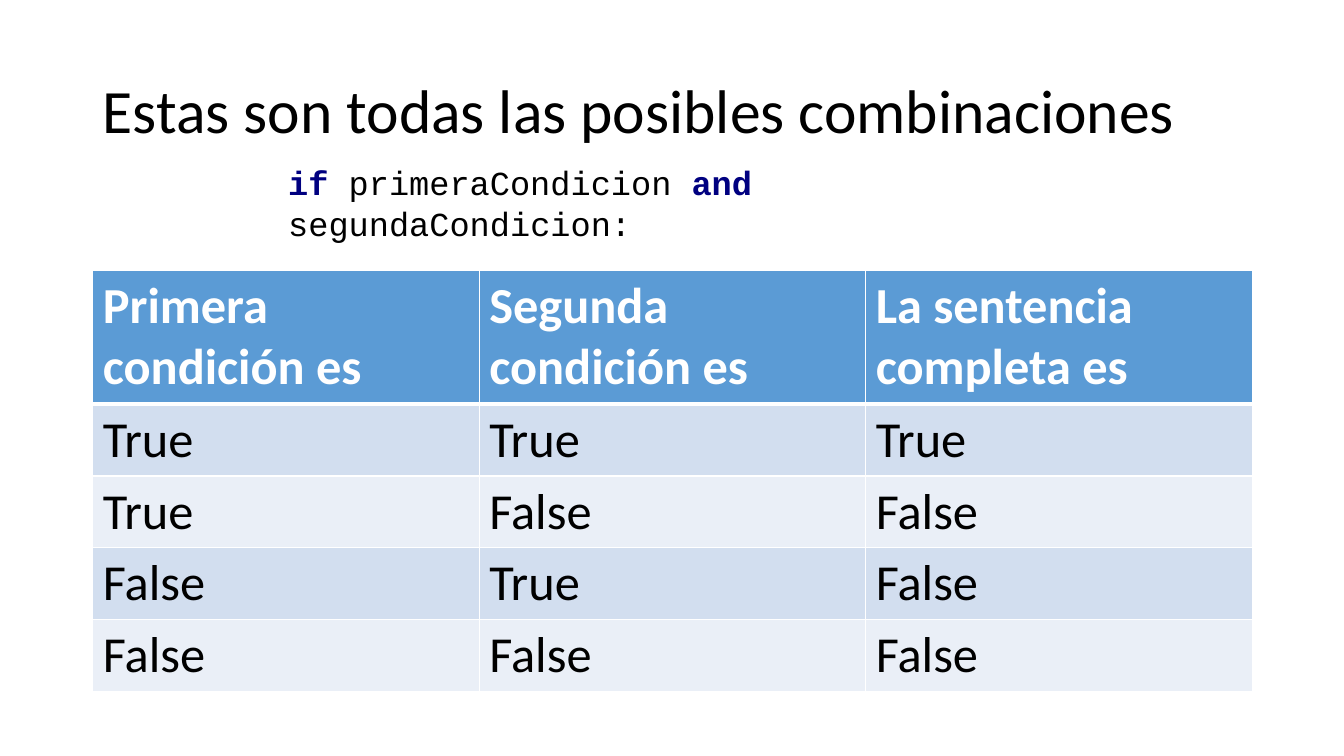
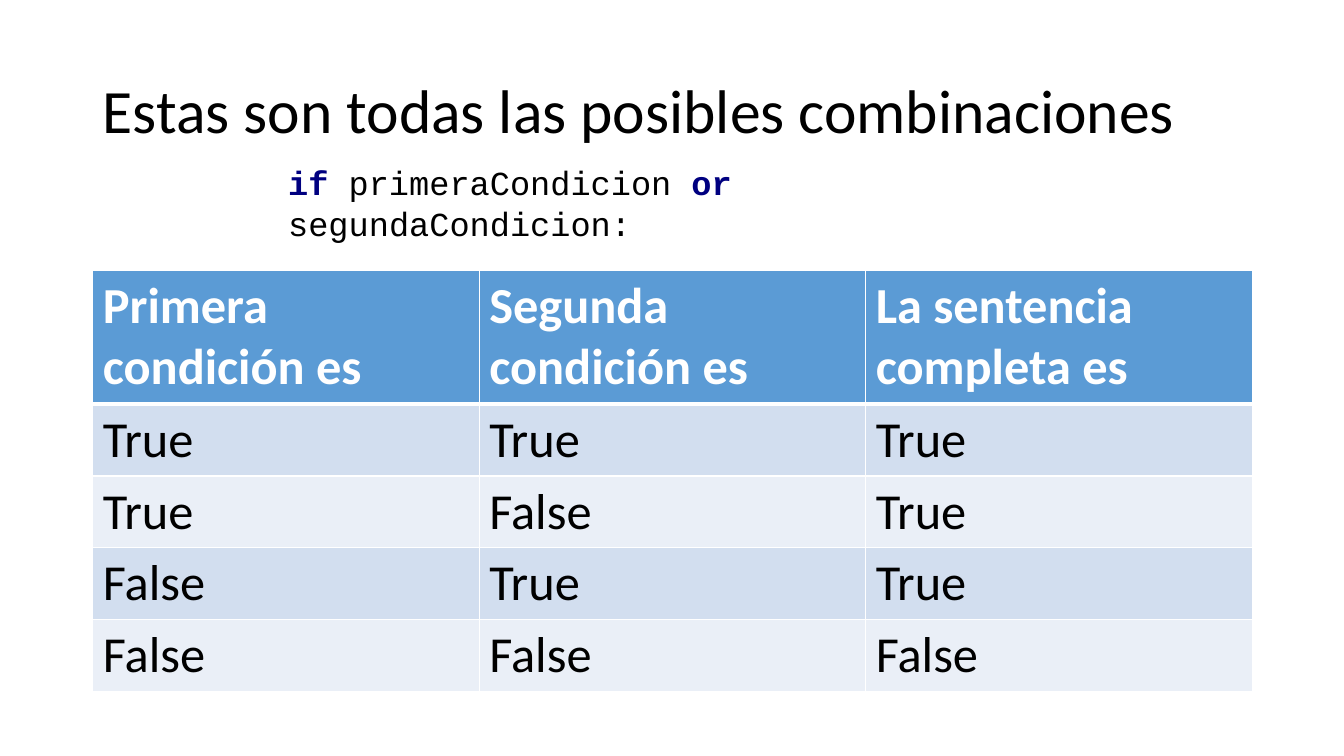
import pptx
import pptx.dml.color
import pptx.enum.shapes
import pptx.enum.text
import pptx.oxml.ns
import pptx.util
from dataclasses import dataclass
from lxml import etree

Inches = pptx.util.Inches
Pt = pptx.util.Pt
ALIGN = pptx.enum.text.PP_ALIGN
ANCHOR = pptx.enum.text.MSO_ANCHOR


@dataclass(frozen=True)
class Theme:
    sans: str = "Calibri"
    mono: str = "Courier New"
    black: str = "000000"
    white: str = "FFFFFF"
    navy: str = "000080"
    head: str = "5B9BD5"
    bands: tuple = ("D2DEEF", "EAEFF7")
    title: int = 44
    cell: int = 36
    code: int = 24


class Deck:
    """Holds the style and the current slide."""

    def __init__(self, theme):
        self.theme = theme
        self.show = pptx.Presentation()
        self.show.slide_width = Inches(13.33)
        self.show.slide_height = Inches(7.5)
        self.slide = None

    def paint(self, fill, color):
        fill.solid()
        fill.fore_color.rgb = pptx.dml.color.RGBColor.from_string(color)

    def style(self, run, face, size, color, bold=False):
        run.font.name = face
        run.font.size = Pt(size)
        run.font.bold = bold
        run.font.color.rgb = pptx.dml.color.RGBColor.from_string(color)

    # Slide with its title
    def page(self, text):
        self.slide = self.show.slides.add_slide(self.show.slide_layouts[5])
        title = self.slide.shapes.title
        title.left, title.top = Inches(0.92), Inches(0.4)
        title.width, title.height = Inches(11.5), Inches(1.45)
        frame = title.text_frame
        frame.text = text
        frame.vertical_anchor = ANCHOR.MIDDLE
        para = frame.paragraphs[0]
        para.alignment = ALIGN.LEFT
        para.line_spacing = 0.9
        self.style(para.runs[0], self.theme.sans, self.theme.title,
                   self.theme.black)

    # Line of code, with keywords in bold navy
    def code(self, words, keys, width):
        look = self.theme
        box = self.slide.shapes.add_shape(
            pptx.enum.shapes.MSO_SHAPE.RECTANGLE,
            Inches(2.76), Inches(1.76), Inches(width), Inches(0.5))
        box.shadow.inherit = False
        self.paint(box.fill, look.white)
        box.line.fill.background()
        frame = box.text_frame
        frame.word_wrap = True
        frame.vertical_anchor = ANCHOR.MIDDLE
        para = frame.paragraphs[0]
        para.alignment = ALIGN.LEFT
        for i, word in enumerate(words):
            run = para.add_run()
            run.text = word if i == len(words) - 1 else word + " "
            key = word in keys
            self.style(run, look.mono, look.code,
                       look.navy if key else look.black, key)

    # White cell borders, in the order the schema asks for
    def edge(self, cell, base):
        props = cell._tc.get_or_add_tcPr()
        qn = pptx.oxml.ns.qn
        for side, width in (("L", 1), ("R", 1), ("T", 1), ("B", base)):
            line = etree.SubElement(props, qn("a:ln" + side),
                                    w=str(Pt(width)))
            fill = etree.SubElement(line, qn("a:solidFill"))
            etree.SubElement(fill, qn("a:srgbClr"), val=self.theme.white)

    # Truth table
    def table(self, rows):
        look = self.theme
        high = [1.33] + [0.71] * (len(rows) - 1)
        grid = self.slide.shapes.add_table(
            len(rows), len(rows[0]), Inches(0.92), Inches(2.68),
            Inches(11.5), Inches(sum(high))).table
        for r, row in enumerate(rows):
            grid.rows[r].height = Inches(high[r])
            top = r == 0
            for c, text in enumerate(row):
                cell = grid.cell(r, c)
                cell.text_frame.text = text
                self.style(cell.text_frame.paragraphs[0].runs[0], look.sans,
                           look.cell, look.white if top else look.black, top)
                # The rule under the header is the top edge of row one too
                self.edge(cell, 3 if top else 1)
                self.paint(cell.fill,
                           look.head if top else look.bands[(r - 1) % 2])
        # Keep the thick header rule from being overdrawn
        for cell in grid.rows[1].cells:
            props = cell._tc.get_or_add_tcPr()
            props.find(pptx.oxml.ns.qn("a:lnT")).set("w", str(Pt(3)))


def main():
    deck = Deck(Theme())
    heads = ("Primera condición es", "Segunda condición es",
             "La sentencia completa es")
    cases = [(a, b) for a in (True, False) for b in (True, False)]
    for word, rule, width in (("and", all, 7.82), ("or", any, 7.63)):
        deck.page("Estas son todas las posibles combinaciones")
        deck.table([heads] + [(str(a), str(b), str(rule((a, b))))
                              for a, b in cases])
        deck.code(("if", "primeraCondicion", word, "segundaCondicion:"),
                  ("if", word), width)
    deck.show.save("out.pptx")


if __name__ == "__main__":
    main()
